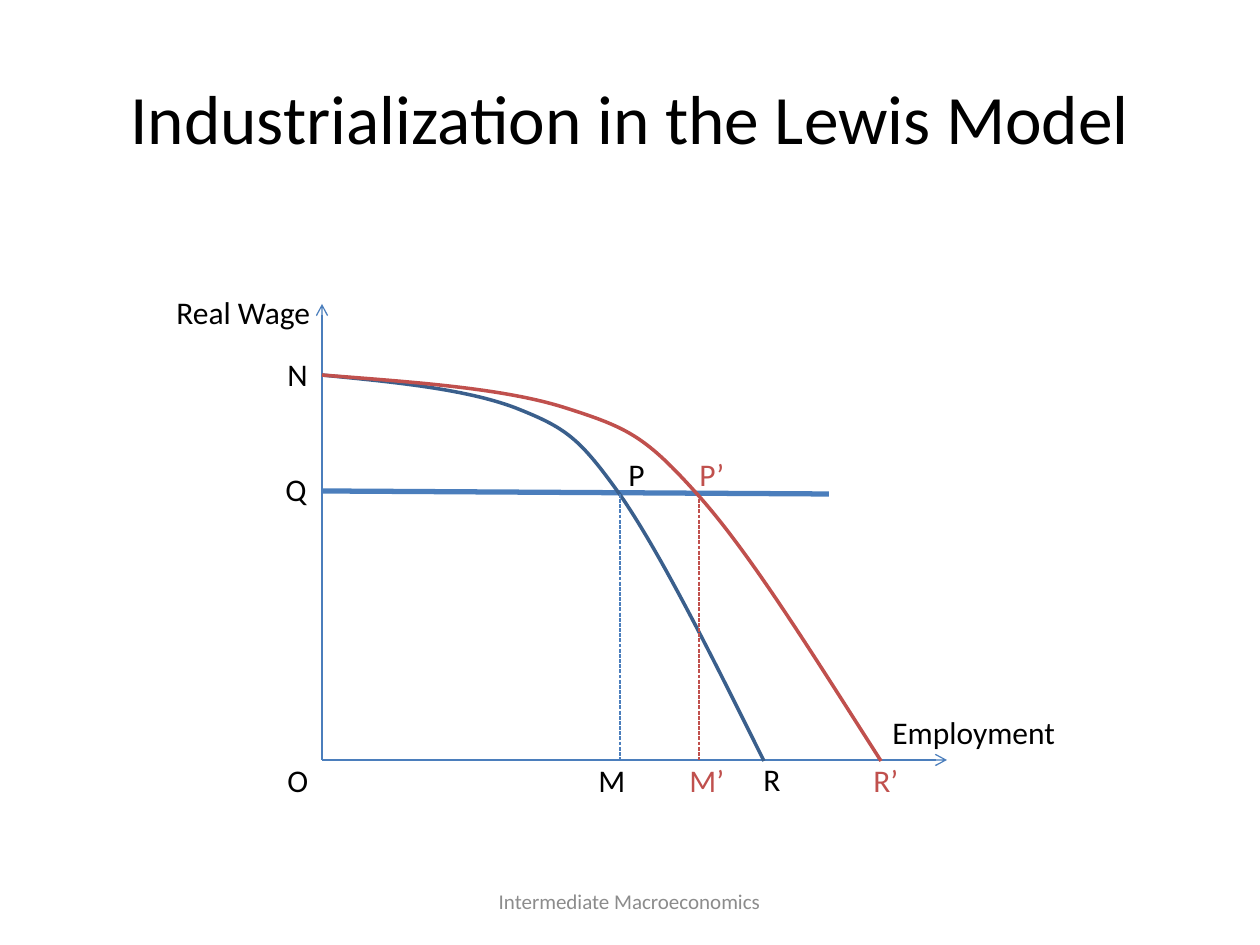
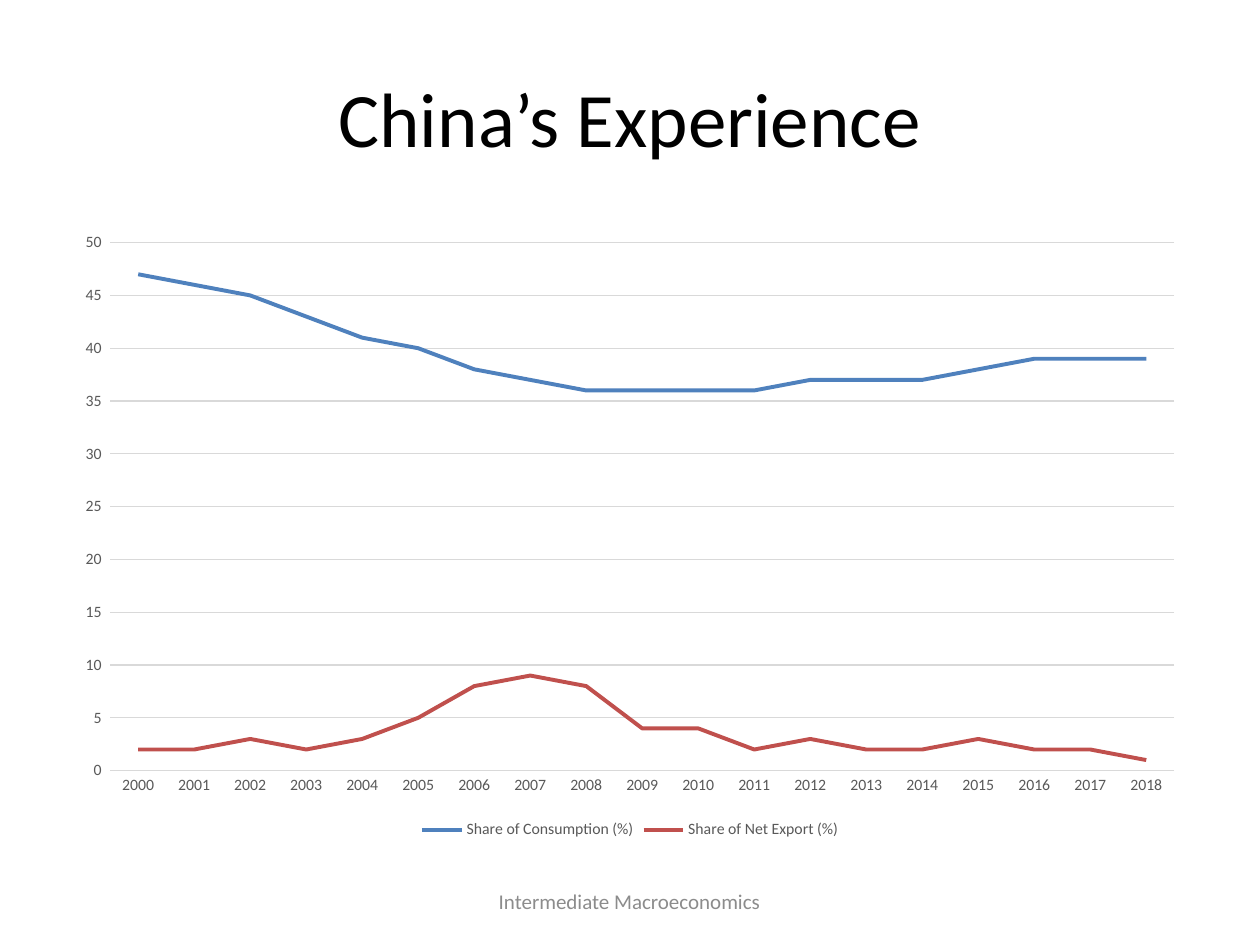
from lxml import etree
from pptx import Presentation
from pptx import util as u
from pptx.chart.data import CategoryChartData
from pptx.dml.color import RGBColor
from pptx.enum import chart as ch, dml, shapes, text
from pptx.oxml.ns import qn

PX = 914400 / 126
FONT = "Calibri"
COLORS = {
    "ink": "000000", "footer": "8C8C8C", "axis": "4B7EBC",
    "before": "3A5F8C", "after": "C0504D",
    "consumption": "4F81BD", "net_export": "C0504D",
    "chart_text": "595959", "grid": "D9D9D9",
}
TITLE_BOX = (63, 38, 1134, 158)
FOOTER_BOX = (430, 876, 399, 50)
DIAGRAM_BOX = (322, 304, 625, 456)
CHART_BOX = (63, 221, 1134, 623)
LABEL_HEIGHT = 50


def emu(*lengths):
    return [u.Emu(round(length * PX)) for length in lengths]


def rgb(name):
    return RGBColor.from_string(COLORS[name])


def set_font(font, size, color):
    font.name, font.size = FONT, u.Pt(size)
    font.color.rgb = rgb(color)


def set_line(line, color, width):
    line.color.rgb = rgb(color)
    line.width = u.Pt(width)


def write(frame, words, size=18, color="ink", align=text.PP_ALIGN.LEFT,
          anchor=text.MSO_ANCHOR.TOP):
    frame.word_wrap = True
    frame.vertical_anchor = anchor
    paragraph = frame.paragraphs[0]
    paragraph.alignment = align
    run = paragraph.add_run()
    run.text = words
    set_font(run.font, size, color)


def add_text(slide, box, words, **style):
    write(slide.shapes.add_textbox(*emu(*box)).text_frame, words, **style)


def add_titled_slide(prs, title, title_size):
    """Title-only slide with the shared title and footer."""
    slide = prs.slides.add_slide(prs.slide_layouts[5])
    heading = slide.shapes.title
    heading.left, heading.top, heading.width, heading.height = emu(*TITLE_BOX)
    centred = dict(align=text.PP_ALIGN.CENTER, anchor=text.MSO_ANCHOR.MIDDLE)
    write(heading.text_frame, title, size=title_size, **centred)
    add_text(slide, FOOTER_BOX, "Intermediate Macroeconomics",
             size=12, color="footer", **centred)
    return slide


def add_line(slide, start, end, color="axis", width=0.75, dashed=False, arrow=False):
    connector = slide.shapes.add_connector(
        shapes.MSO_CONNECTOR.STRAIGHT, *emu(*start, *end))
    set_line(connector.line, color, width)
    if dashed:
        connector.line.dash_style = dml.MSO_LINE.SQUARE_DOT
    properties = connector._element.spPr
    if arrow:
        etree.SubElement(properties.find(qn("a:ln")), qn("a:tailEnd"), type="arrow")
    etree.SubElement(properties, qn("a:effectLst"))


def add_curve(slide, points, color):
    """Cubic curve: a start point, then two controls and an end per segment."""
    builder = slide.shapes.build_freeform(*points[0], scale=PX)
    builder.add_line_segments(points[1:], close=False)
    curve = builder.convert_to_shape()
    curve.shadow.inherit = False
    curve.fill.background()
    set_line(curve.line, color, 2)
    outline = next(curve._element.iter(qn("a:path")))
    steps = outline.findall(qn("a:lnTo"))
    for first in range(0, len(steps), 3):
        segment = etree.SubElement(outline, qn("a:cubicBezTo"))
        for step in steps[first:first + 3]:
            segment.append(step[0])
            outline.remove(step)


def draw_labor_diagram(slide, box):
    left, top, width, height = box

    def at(x, y):
        return left + x, top + y

    add_line(slide, at(0, height), at(width, height), arrow=True)
    add_line(slide, at(0, height), at(0, 0), arrow=True)
    add_line(slide, at(0, 187), at(507, 190), width=3)

    demand_curves = {
        "before": [(0, 71), (72, 78), (144, 85), (194, 104), (244, 124),
                   (257, 133), (299, 192), (339, 250), (391, 354), (442, 457)],
        "after": [(0, 71), (90, 78), (182, 84), (244, 104), (307, 124),
                  (324, 133), (376, 191), (429, 250), (493, 354), (559, 457)],
    }
    for color, points in demand_curves.items():
        add_curve(slide, [at(*point) for point in points], color)
    for employment, color in ((298, "axis"), (377, "after")):
        add_line(slide, at(employment, 190), at(employment, height), color, dashed=True)

    labels = [
        ("Employment", 558, 403, 190, "ink"), ("Real Wage", -158, -17, 236, "ink"),
        ("N", -47, 45, 68, "ink"), ("Q", -49, 160, 68, "ink"),
        ("O", -47, 451, 68, "ink"), ("M", 264, 451, 68, "ink"),
        ("R", 429, 450, 68, "ink"), ("P", 294, 145, 68, "ink"),
        ("P’", 365, 145, 68, "after"), ("M’", 355, 451, 68, "after"),
        ("R’", 539, 451, 68, "after"),
    ]
    for words, x, y, label_width, color in labels:
        add_text(slide, (*at(x, y), label_width, LABEL_HEIGHT), words, color=color)


def draw_shares_chart(slide, box):
    data = CategoryChartData()
    data.categories = [str(year) for year in range(2000, 2019)]
    data.add_series("Share of Consumption (%)", [
        47, 46, 45, 43, 41, 40, 38, 37, 36, 36, 36, 36, 37, 37, 37, 38, 39, 39, 39])
    data.add_series("Share of Net Export (%)", [
        2, 2, 3, 2, 3, 5, 8, 9, 8, 4, 4, 2, 3, 2, 2, 3, 2, 2, 1])
    chart = slide.shapes.add_chart(ch.XL_CHART_TYPE.LINE, *emu(*box), data).chart
    chart.has_title = False
    set_font(chart.font, 10, "ink")

    plot = chart.plots[0]
    plot.vary_by_categories = False
    for series, color in zip(plot.series, ("consumption", "net_export")):
        series.smooth = False
        series.marker.style = ch.XL_MARKER_STYLE.NONE
        set_line(series.format.line, color, 2.25)

    years, shares = chart.category_axis, chart.value_axis
    for axis in (years, shares):
        axis.major_tick_mark = axis.minor_tick_mark = ch.XL_TICK_MARK.NONE
        set_font(axis.tick_labels.font, 9, "chart_text")
    set_line(years.format.line, "grid", 0.75)
    shares.minimum_scale, shares.maximum_scale, shares.major_unit = 0, 50, 5
    shares.format.line.fill.background()
    set_line(shares.major_gridlines.format.line, "grid", 0.75)
    shares.tick_labels.number_format = r"#,##0_);[Red]\(#,##0\)"
    shares.tick_labels.number_format_is_linked = False

    chart.has_legend = True
    chart.legend.position = ch.XL_LEGEND_POSITION.BOTTOM
    chart.legend.include_in_layout = False
    set_font(chart.legend.font, 9, "chart_text")


def main():
    prs = Presentation()
    prs.slide_width, prs.slide_height = emu(1260, 945)
    draw_labor_diagram(
        add_titled_slide(prs, "Industrialization in the Lewis Model", 39.6), DIAGRAM_BOX)
    draw_shares_chart(add_titled_slide(prs, "China’s Experience", 44), CHART_BOX)
    prs.save("out.pptx")


if __name__ == "__main__":
    main()
